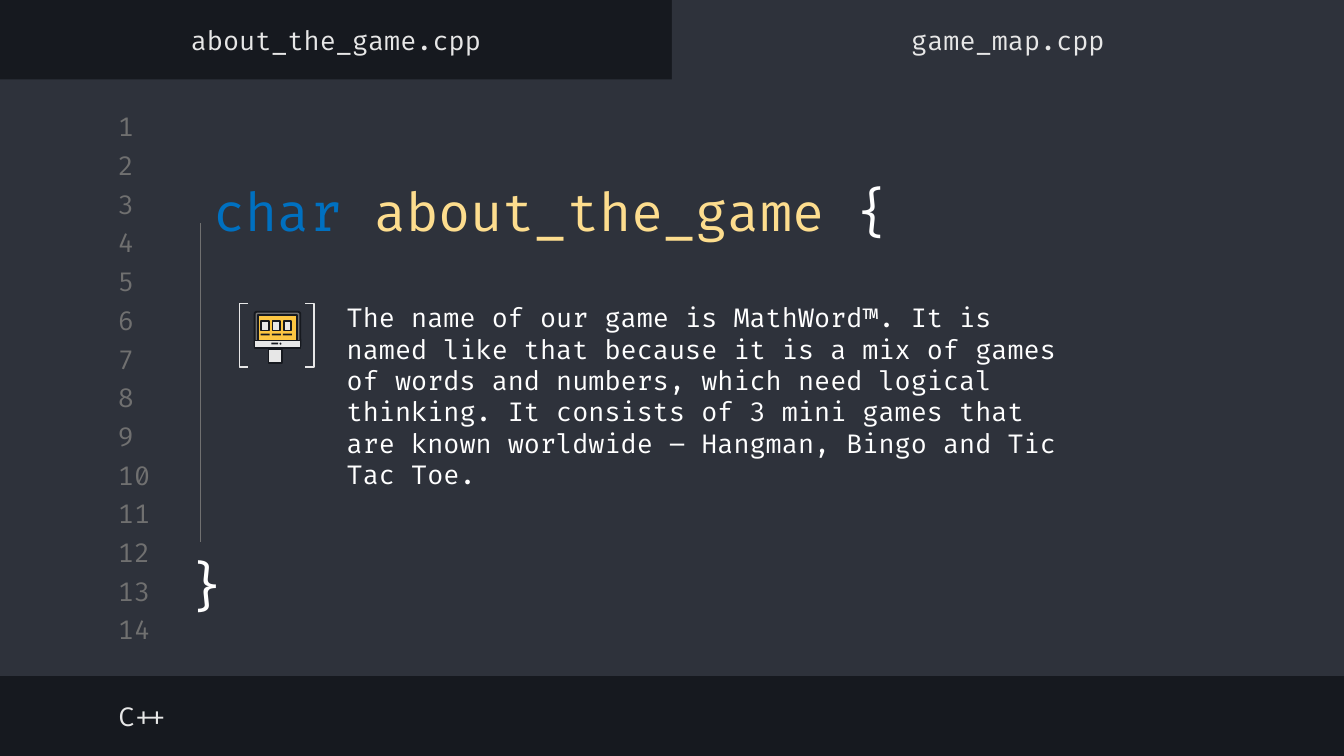
import dataclasses

import lxml.etree
import pptx
import pptx.dml.color
import pptx.enum.shapes
import pptx.enum.text
import pptx.oxml.ns
import pptx.util


@dataclasses.dataclass(frozen=True)
class Theme:
    font: str = "Fira Code"
    code_size: int = 14
    title_size: int = 28
    dark: str = "16191F"
    panel: str = "2E323B"
    muted: str = "707070"
    light: str = "E7E7E7"
    white: str = "FFFFFF"
    keyword: str = "0070C0"
    name: str = "FDDD8E"
    screen: str = "FCC642"


theme = Theme()
color = pptx.dml.color.RGBColor.from_string
qn = pptx.oxml.ns.qn
SHAPE = pptx.enum.shapes.MSO_SHAPE
ALIGN = pptx.enum.text.PP_ALIGN
ANCHOR = pptx.enum.text.MSO_ANCHOR

presentation = pptx.Presentation()
presentation.slide_width = pptx.util.Inches(10)
presentation.slide_height = pptx.util.Inches(5.625)
# Square grid: 100 columns by 56.25 rows
CELL = presentation.slide_width // 100

slide = presentation.slides.add_slide(presentation.slide_layouts.get_by_name("Comparison"))
slide.background.fill.solid()
slide.background.fill.fore_color.rgb = color(theme.dark)


def add_box(kind, left, top, width, height, fill=None, line=None, line_width=0.75):
    """Add a preset shape, measured in grid cells."""
    shape = slide.shapes.add_shape(
        kind, *(round(length * CELL) for length in (left, top, width, height)))
    shape.shadow.inherit = False
    if fill:
        shape.fill.solid()
        shape.fill.fore_color.rgb = color(fill)
    else:
        shape.fill.background()
    if line:
        shape.line.color.rgb = color(line)
        shape.line.width = pptx.util.Pt(line_width)
    else:
        shape.line.fill.background()
    return shape


def write(shape, box, runs, size, align=ALIGN.LEFT, anchor=ANCHOR.MIDDLE):
    """Place a text shape on the grid and fill it with (text, colour) runs."""
    shape.left, shape.top, shape.width, shape.height = (
        round(length * CELL) for length in box)
    frame = shape.text_frame
    frame.word_wrap = True
    frame.auto_size = pptx.enum.text.MSO_AUTO_SIZE.NONE
    frame.vertical_anchor = anchor
    frame.margin_left = frame.margin_right = CELL
    frame.margin_top = frame.margin_bottom = CELL
    paragraph = frame.paragraphs[0]
    paragraph.alignment = align
    paragraph.line_spacing = 1.0
    paragraph.space_before = pptx.util.Pt(0)
    paragraph.font.name = theme.font
    paragraph.font.size = pptx.util.Pt(size)
    paragraph.font.bold = False
    for text, run_color in runs:
        run = paragraph.add_run()
        run.text = text
        run.font.name = theme.font
        run.font.size = pptx.util.Pt(size)
        run.font.color.rgb = color(run_color)
    return paragraph


# Editor panel and the right-hand tab, behind all text
for layer, box in enumerate([(0, 5.9, 100, 44.4), (50, 0, 50, 6.5)]):
    panel = add_box(SHAPE.RECTANGLE, *box, fill=theme.panel)
    slide.shapes._spTree.insert(2 + layer, panel._element)

# Line numbers
for index in range(14):
    number = slide.shapes.add_textbox(0, 0, CELL, CELL)
    write(number, (7.8, 8.2 + 2.88 * index, 4.7, 2.4),
          [(str(index + 1), theme.muted)], theme.code_size)

# Title, description, language and tab names
write(slide.shapes.title, (14.9, 12.8, 54, 5.8),
      [("char ", theme.keyword), ("about_the_game ", theme.name), ("{", theme.white)],
      theme.title_size)

description = (
    "The name of our game is MathWord™. It is named like that because it is a mix "
    "of games of words and numbers, which need logical thinking. It consists of 3 "
    "mini games that are known worldwide – Hangman, Bingo and Tic Tac Toe.")
bodies = [
    ((24.8, 16.6, 56.2, 25.7), description, theme.white, ALIGN.LEFT),
    ((7.8, 51.3, 53.2, 3.9), "C++", theme.light, ALIGN.LEFT),
    ((0, 1, 50, 3.9), "about_the_game.cpp", theme.light, ALIGN.CENTER),
    ((50, 1, 50, 3.9), "game_map.cpp", theme.light, ALIGN.CENTER),
]
for number, (box, text, text_color, align) in enumerate(bodies, start=1):
    paragraph = write(slide.placeholders[number], box, [(text, text_color)],
                      theme.code_size, align)
    properties = paragraph._p.get_or_add_pPr()
    properties.set("marL", "0")
    properties.set("indent", "0")
    no_bullet = lxml.etree.Element(qn("a:buNone"))
    properties.find(qn("a:defRPr")).addprevious(no_bullet)

# Computer icon: casing, screen, chin and stand
add_box(SHAPE.ROUNDED_RECTANGLE, 18.95, 23.2, 3.4, 2.7, theme.muted, theme.dark, 1).adjustments[0] = 0.06
add_box(SHAPE.RECTANGLE, 19.2, 23.45, 2.9, 1.9, theme.screen, theme.dark, 1)
add_box(SHAPE.RECTANGLE, 18.95, 25.35, 3.4, 0.55, theme.light, theme.dark, 0.75)
add_box(SHAPE.RECTANGLE, 20.2, 25.5, 0.5, 0.13, theme.dark)
add_box(SHAPE.OVAL, 20.8, 25.5, 0.15, 0.15, theme.dark)
stand_points = [(20.35, 25.9), (20.95, 25.9), (21, 26.25), (21.4, 26.4),
                (21.45, 26.6), (19.75, 26.6), (19.85, 26.4), (20.25, 26.25)]
builder = slide.shapes.build_freeform(*stand_points[0], scale=CELL)
builder.add_line_segments(stand_points[1:])
stand = builder.convert_to_shape()
stand.shadow.inherit = False
stand.fill.solid()
stand.fill.fore_color.rgb = color(theme.light)
stand.line.color.rgb = color(theme.dark)
stand.line.width = pptx.util.Pt(0.75)
for index in range(3):
    left = 19.45 + 0.83 * index
    add_box(SHAPE.RECTANGLE, left, 23.9, 0.57, 0.7, theme.light, theme.dark, 1)
    add_box(SHAPE.RECTANGLE, left - 0.05, 24.82, 0.67, 0.14, theme.dark)

# Brackets around the icon
for kind, left in ((SHAPE.LEFT_BRACKET, 17.8), (SHAPE.RIGHT_BRACKET, 22.7)):
    add_box(kind, left, 22.6, 0.65, 4.7, line=theme.light).adjustments[0] = 0

# Scope line and closing brace
scope_line = slide.shapes.add_connector(
    pptx.enum.shapes.MSO_CONNECTOR.STRAIGHT,
    *(round(length * CELL) for length in (14.9, 16.6, 14.9, 40.3)))
scope_line.line.color.rgb = color(theme.muted)
scope_line.line.width = pptx.util.Pt(0.75)
lxml.etree.SubElement(scope_line._element.spPr, qn("a:effectLst"))
write(slide.shapes.add_textbox(0, 0, CELL, CELL), (12.6, 40.2, 5.5, 6.1),
      [("}", theme.white)], theme.title_size, ALIGN.CENTER, ANCHOR.TOP)

presentation.save("out.pptx")
